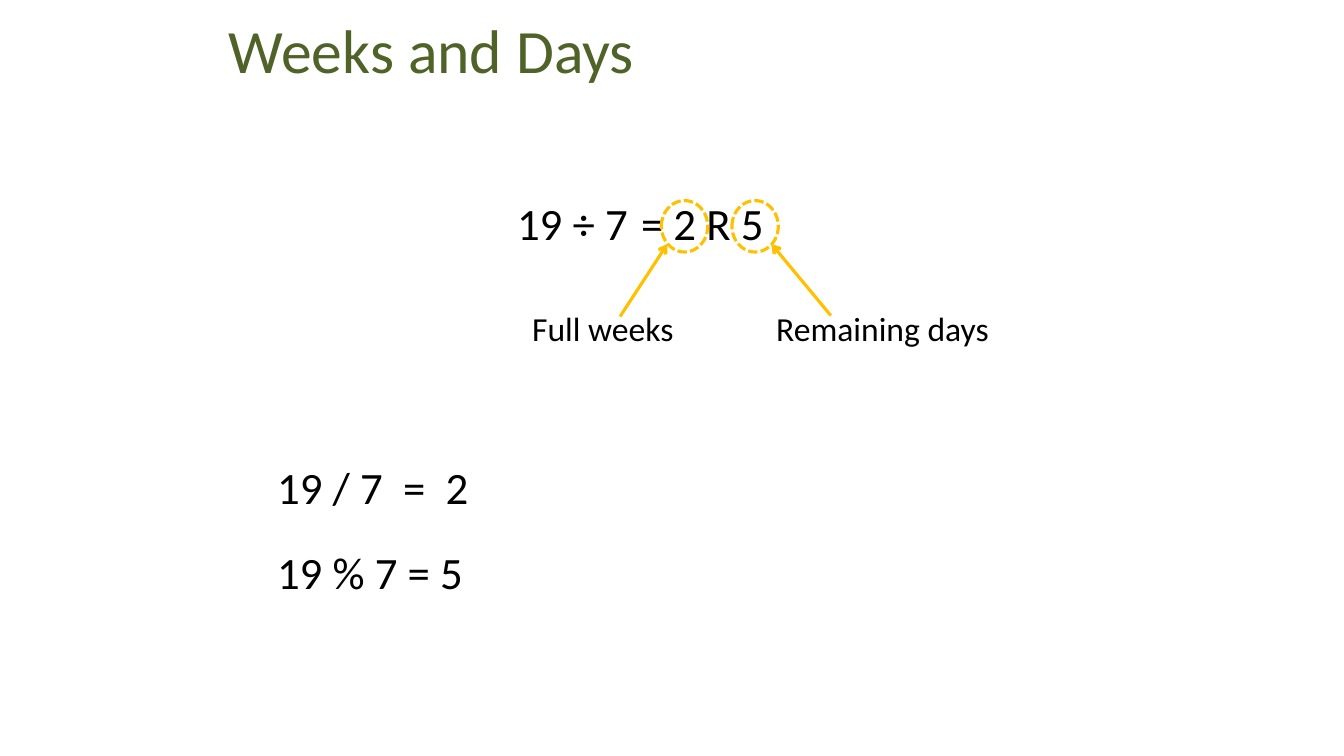
from lxml.etree import SubElement
from pptx import Presentation
from pptx.dml.color import RGBColor
from pptx.enum.dml import MSO_LINE as Dash
from pptx.enum.shapes import MSO_CONNECTOR as Link, MSO_SHAPE as Shape
from pptx.enum.text import MSO_ANCHOR as Anchor, MSO_AUTO_SIZE as Fit
from pptx.oxml.ns import qn
from pptx.util import Emu, Pt

PX = 9144  # EMU per px, 100 px to the inch
FONT = "Calibri"
GREEN = RGBColor(0x4F, 0x62, 0x28)
BLACK = RGBColor(0, 0, 0)
GOLD = RGBColor(0xFF, 0xC0, 0x00)


def px(*nums):
    return [Emu(n * PX) for n in nums]


def add_text(slide, text, box, size, color=BLACK, wrap=True):
    frame = slide.shapes.add_textbox(*px(*box)).text_frame
    frame.word_wrap = wrap
    frame.auto_size = Fit.SHAPE_TO_FIT_TEXT
    para = frame.paragraphs[0]
    para.text = text
    para.font.name = FONT
    para.font.size = Pt(size)
    para.font.color.rgb = color
    return frame


def add_title(slide, text):
    frame = add_text(slide, text, (217, -9, 900, 125), 44, GREEN)
    frame.auto_size = Fit.NONE
    frame.vertical_anchor = Anchor.MIDDLE
    frame.paragraphs[0].line_spacing = 0.9


def set_line(line):
    line.color.rgb = GOLD
    line.width = Pt(2.25)


def add_ring(slide, left):
    """Circle one number of the sum with a dashed ring."""
    ring = slide.shapes.add_shape(Shape.OVAL, *px(left, 199, 46, 51))
    ring.shadow.inherit = False
    ring.fill.background()
    set_line(ring.line)
    ring.line.dash_style = Dash.SQUARE_DOT


def add_arrow(slide, start, end):
    arrow = slide.shapes.add_connector(Link.STRAIGHT, *px(*start, *end))
    set_line(arrow.line)
    props = arrow._element.spPr
    SubElement(props.find(qn("a:ln")), qn("a:tailEnd"), type="arrow")
    SubElement(props, qn("a:effectLst"))


def main():
    prs = Presentation()
    prs.slide_width, prs.slide_height = px(1333, 750)
    slide = prs.slides.add_slide(prs.slide_layouts[6])

    add_title(slide, "Weeks and Days")
    add_text(slide, "19 ÷ 7", (503, 189, 131, 64), 32)
    add_text(slide, "= 2 R 5", (626, 189, 143, 64), 32, wrap=False)

    for left in (656, 726):
        add_ring(slide, left)
    add_arrow(slide, (615, 314), (662, 242))
    add_arrow(slide, (824, 313), (765, 242))

    add_text(slide, "Full weeks", (518, 301, 173, 50), 24)
    add_text(slide, "Remaining days", (760, 301, 232, 50), 24)
    add_text(slide, "19 / 7  =  2", (265, 451, 299, 64), 32)
    add_text(slide, "19 % 7 = 5", (265, 536, 253, 64), 32)

    prs.save("out.pptx")


if __name__ == "__main__":
    main()
